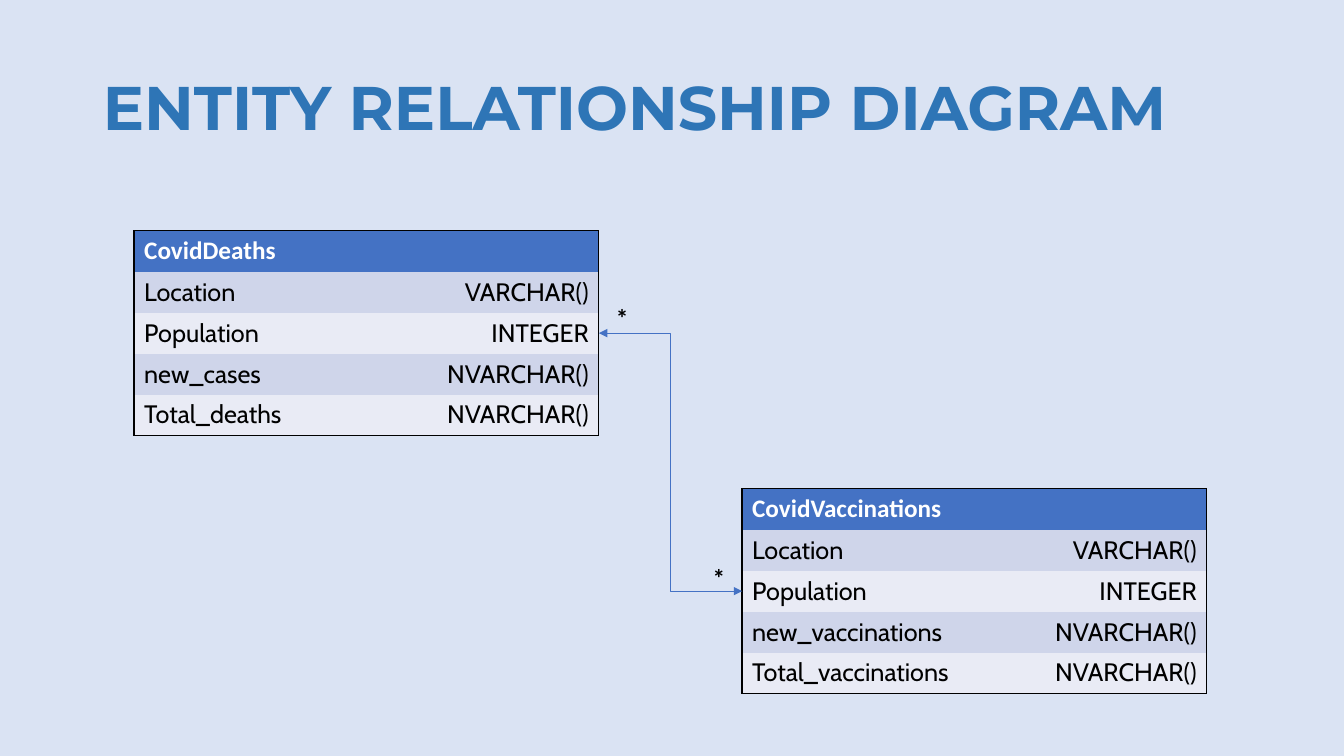
import pptx
import pptx.dml.color
import pptx.enum.shapes
import pptx.enum.text
import pptx.oxml
import pptx.oxml.ns
import pptx.util

Inches = pptx.util.Inches
Pt = pptx.util.Pt
ALIGN = pptx.enum.text.PP_ALIGN
ANCHOR = pptx.enum.text.MSO_ANCHOR
NAMESPACE = pptx.oxml.ns.nsdecls("a")
HEADER_FILL = "4472C4"
BAND_FILLS = ["CFD5EA", "E9EBF5"]
ENTITY_WIDTH, ENTITY_HEIGHT = 4.61, 2.03
DEATHS_BOX = (1.33, 2.29, ENTITY_WIDTH, ENTITY_HEIGHT)
VACCINATIONS_BOX = (7.36, 4.85, ENTITY_WIDTH, ENTITY_HEIGHT)


def color(value):
    return pptx.dml.color.RGBColor.from_string(value)


def xml(text):
    return pptx.oxml.parse_xml(text)


def format_text(frame, font, size, ink, bold=False, align=ALIGN.LEFT):
    for paragraph in frame.paragraphs:
        paragraph.alignment = align
        for run in paragraph.runs:
            run.font.name = font
            run.font.size = Pt(size)
            run.font.bold = bold
            run.font.color.rgb = color(ink)


def add_title(slide, box):
    title = slide.shapes.title
    title.left, title.top, title.width, title.height = map(Inches, box)
    frame = title.text_frame
    frame.text = "ENTITY RELATIONSHIP DIAGRAM"
    frame.vertical_anchor = ANCHOR.MIDDLE
    frame.paragraphs[0].line_spacing = 0.9
    format_text(frame, "Montserrat", 44, "2E75B6", bold=True)
    properties = frame.paragraphs[0].runs[0].font._element
    shadow = xml(
        f'<a:effectLst {NAMESPACE}><a:outerShdw blurRad="38100" dist="38100" '
        'dir="2700000" algn="tl"><a:srgbClr val="000000"><a:alpha val="30000"/>'
        "</a:srgbClr></a:outerShdw></a:effectLst>"
    )
    properties.find(pptx.oxml.ns.qn("a:latin")).addprevious(shadow)


def set_borders(cell, outer_sides):
    properties = cell._tc.get_or_add_tcPr()
    for position, side in enumerate("LRTB"):
        paint = "<a:noFill/>"
        if side in outer_sides:
            paint = '<a:solidFill><a:srgbClr val="000000"/></a:solidFill>'
        border = xml(f'<a:ln{side} {NAMESPACE} w="12700">{paint}</a:ln{side}>')
        properties.insert(position, border)


def add_entity(slide, box, name, fields):
    rows = [(name, "")] + fields
    table = slide.shapes.add_table(len(rows), 2, *map(Inches, box)).table
    table.first_row = table.horz_banding = False
    for column in table.columns:
        column.width = Inches(box[2] / 2)
    for r, values in enumerate(rows):
        table.rows[r].height = Inches(box[3] / len(rows))
        for c, value in enumerate(values):
            cell = table.cell(r, c)
            cell.text = value
            cell.fill.solid()
            if r == 0:
                cell.fill.fore_color.rgb = color(HEADER_FILL)
                format_text(cell.text_frame, "Calibri", 18, "FFFFFF", bold=True)
            else:
                cell.fill.fore_color.rgb = color(BAND_FILLS[(r - 1) % 2])
                align = ALIGN.RIGHT if c else ALIGN.LEFT
                format_text(cell.text_frame, "Cabin", 18, "000000", align=align)
            outer_sides = "LR"[c]
            if r == 0:
                outer_sides += "T"
            if r == len(rows) - 1:
                outer_sides += "B"
            set_borders(cell, outer_sides)


def add_cardinality(slide, left, top):
    label = slide.shapes.add_textbox(*map(Inches, (left, top, 0.39, 0.4)))
    label.text_frame.word_wrap = True
    label.text_frame.text = "*"
    format_text(label.text_frame, "Calibri", 18, "000000", bold=True)


def add_relationship(slide, source, target):
    start_x, start_y = source[0] + source[2], source[1] + source[3] / 2
    end_x, end_y = target[0], target[1] + target[3] / 2
    link = slide.shapes.add_connector(
        pptx.enum.shapes.MSO_CONNECTOR.ELBOW,
        *map(Inches, (start_x, start_y, end_x, end_y)),
    )
    link.line.color.rgb = color(HEADER_FILL)
    link.line.width = Pt(0.5)
    line = link.line._get_or_add_ln()
    for end in ("headEnd", "tailEnd"):
        line.append(xml(f'<a:{end} {NAMESPACE} type="triangle"/>'))
    link._element.spPr.append(xml(f"<a:effectLst {NAMESPACE}/>"))
    add_cardinality(slide, start_x + 0.07, start_y - 0.35)
    add_cardinality(slide, end_x - 0.39, end_y - 0.34)


def build_diagram_slide(deck):
    slide = deck.slides.add_slide(deck.slide_layouts[5])
    slide.background.fill.solid()
    slide.background.fill.fore_color.rgb = color("DAE3F3")
    add_title(slide, (0.92, 0.37, 11.5, 1.45))
    shared_fields = [("Location", "VARCHAR()"), ("Population", "INTEGER")]
    entities = [
        (DEATHS_BOX, "CovidDeaths", ["new_cases", "Total_deaths"]),
        (VACCINATIONS_BOX, "CovidVaccinations", ["new_vaccinations", "Total_vaccinations"]),
    ]
    for box, name, counts in entities:
        count_fields = [(count, "NVARCHAR()") for count in counts]
        add_entity(slide, box, name, shared_fields + count_fields)
    add_relationship(slide, DEATHS_BOX, VACCINATIONS_BOX)


deck = pptx.Presentation()
deck.slide_width, deck.slide_height = Inches(13.33), Inches(7.5)
build_diagram_slide(deck)
deck.save("out.pptx")
